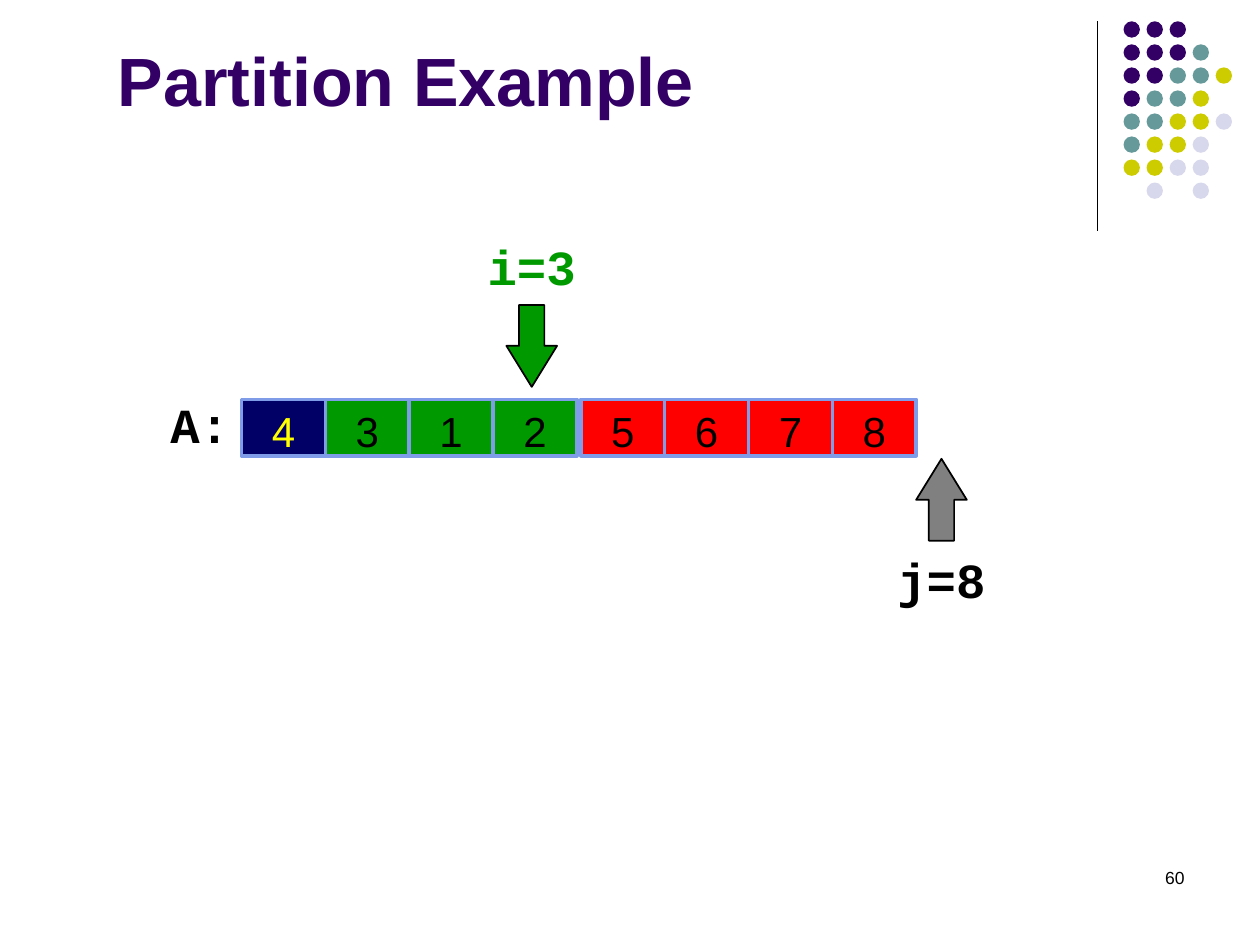
from lxml.etree import SubElement
from pptx import Presentation
from pptx.dml.color import RGBColor
from pptx.enum.shapes import MSO_CONNECTOR, MSO_SHAPE
from pptx.enum.text import MSO_ANCHOR, PP_ALIGN
from pptx.oxml.ns import qn
from pptx.util import Cm, Pt

COLORS = {
    "purple": "330066", "teal": "669999", "olive": "CCCC00", "lilac": "D8D8EC",
    "navy": "000066", "green": "009900", "red": "FF0000", "gray": "808080",
    "yellow": "FFFF00", "black": "000000", "border": "7E9CE8",
}
DOT_KEYS = {"p": "purple", "t": "teal", "o": "olive", "l": "lilac"}
DOT_ROWS = ["ppp", "pppt", "pptto", "ptto", "ttool", "tool", "ooll", " l l"]


def rgb(name):
    return RGBColor.from_string(COLORS[name])


def set_text(sp, text, size, color, font="Arial", bold=False, align=PP_ALIGN.CENTER):
    tf = sp.text_frame
    tf.word_wrap = True
    tf.text = text
    p = tf.paragraphs[0]
    p.alignment = align
    f = p.runs[0].font
    f.name, f.size, f.bold = font, Pt(size), bold
    f.color.rgb = rgb(color)


def add_label(shapes, box, text, color="black", align=PP_ALIGN.CENTER):
    sp = shapes.add_textbox(*map(Cm, box))
    set_text(sp, text, 28, color, "Courier New", True, align)


def add_filled(shapes, kind, box, fill, line=None, width=1):
    sp = shapes.add_shape(kind, *map(Cm, box))
    sp.shadow.inherit = False
    sp.fill.solid()
    sp.fill.fore_color.rgb = rgb(fill)
    if line:
        sp.line.color.rgb = rgb(line)
        sp.line.width = Pt(width)
    else:
        sp.line.fill.background()
    return sp


def add_corner_decoration(slide, left, top, height):
    """Vertical rule with a triangle-like grid of dots to its right."""
    rule = slide.shapes.add_connector(
        MSO_CONNECTOR.STRAIGHT, Cm(left), Cm(top), Cm(left), Cm(top + height))
    rule.line.color.rgb = rgb("black")
    rule.line.width = Pt(0.75)
    SubElement(rule._element.spPr, qn("a:effectLst"))

    dot, grid_height = 0.33, 3.58
    pitch = (grid_height - dot) / (len(DOT_ROWS) - 1)
    dots = slide.shapes.add_group_shape()
    for row, keys in enumerate(DOT_ROWS):
        for col, key in enumerate(keys):
            if key in DOT_KEYS:
                box = (left + 0.53 + col * pitch, top + row * pitch, dot, dot)
                add_filled(dots.shapes, MSO_SHAPE.OVAL, box, DOT_KEYS[key])


def add_title(slide, left, top, width, height):
    title = slide.shapes.title
    title.left, title.top, title.width, title.height = map(Cm, (left, top, width, height))
    set_text(title, "Partition Example", 39, "purple", bold=True, align=PP_ALIGN.LEFT)
    title.text_frame.vertical_anchor = MSO_ANCHOR.MIDDLE


def add_array(slide, left, top, cell_width, cell_height):
    """Row of cells: the pivot and smaller values, a narrow gap, larger values."""
    label_width = 4.45
    add_label(slide.shapes, (left - label_width, top - 0.22, label_width, 1.45),
              "A:", align=PP_ALIGN.RIGHT)
    split, gap = 4, 0.08
    for i, value in enumerate([4, 3, 1, 2, 5, 6, 7, 8]):
        x = left + i * cell_width + (gap if i >= split else 0)
        fill = "navy" if i == 0 else "green" if i < split else "red"
        sp = add_filled(slide.shapes, MSO_SHAPE.RECTANGLE,
                        (x, top, cell_width, cell_height), fill, "border", 2)
        set_text(sp, str(value), 24, "yellow" if i == 0 else "black")
        sp.text_frame.vertical_anchor = MSO_ANCHOR.TOP
        sp.text_frame.margin_bottom = 0


def add_pointer(slide, center, top, text, fill, color, down):
    """Index label with an arrow, below the label if down, else above it."""
    width, label_height, arrow_width, arrow_height = 6.98, 1.45, 1.02, 1.65
    label_top = top if down else top + 1.7
    arrow_top = top + 1.5 if down else top
    shapes = slide.shapes.add_group_shape().shapes
    arrow = add_filled(
        shapes, MSO_SHAPE.DOWN_ARROW if down else MSO_SHAPE.UP_ARROW,
        (center - arrow_width / 2, arrow_top, arrow_width, arrow_height), fill, "black")
    arrow.adjustments[0] = 0.5
    arrow.adjustments[1] = 0.81
    add_label(shapes, (center - width / 2, label_top, width, label_height), text, color)


def add_page_number(slide, left, top, width, height):
    sp = slide.shapes.add_textbox(*map(Cm, (left, top, width, height)))
    set_text(sp, "60", 10, "black", align=PP_ALIGN.RIGHT)


def main():
    prs = Presentation()
    prs.slide_width, prs.slide_height = Cm(25.4), Cm(19.05)
    s = prs.slides.add_slide(prs.slide_layouts[5])
    add_corner_decoration(s, 22.12, 0.43, 4.22)
    add_page_number(s, 18.2, 17.35, 5.93, 1.27)
    add_title(s, 2.12, 0, 21.59, 3.18)
    add_array(s, 4.87, 8.05, 1.69, 1.14)
    add_pointer(s, 10.72, 4.65, "i=3", "green", "green", down=True)
    add_pointer(s, 18.98, 9.25, "j=8", "gray", "black", down=False)
    prs.save("out.pptx")


if __name__ == "__main__":
    main()
